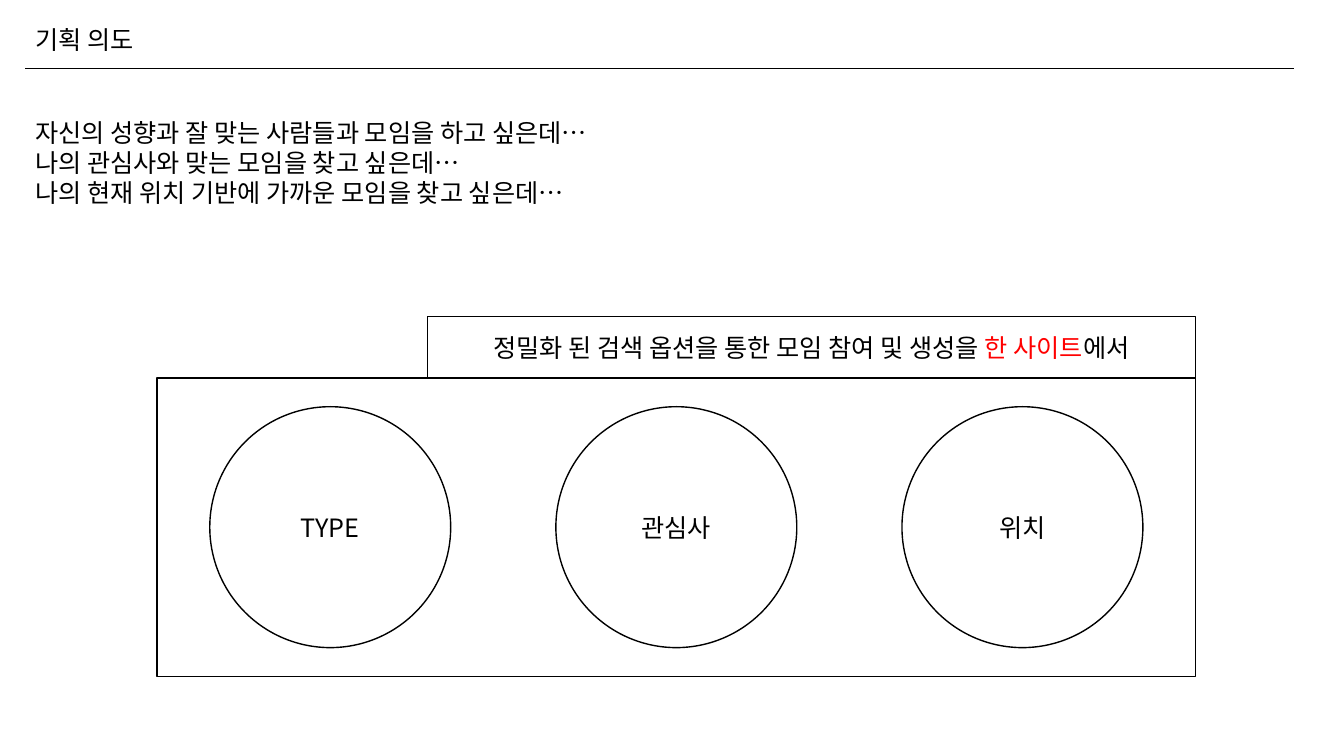
from pptx import Presentation
from pptx.dml.color import RGBColor
from pptx.enum.shapes import MSO_CONNECTOR as LINE, MSO_SHAPE as SHAPE
from pptx.enum.text import MSO_ANCHOR as ANCHOR, MSO_AUTO_SIZE as AUTO, PP_ALIGN as ALIGN
from pptx.oxml.ns import qn
from pptx.util import Pt

TITLE = "기획 의도"
WISHES = [
    "자신의 성향과 잘 맞는 사람들과 모임을 하고 싶은데…",
    "나의 관심사와 맞는 모임을 찾고 싶은데…",
    "나의 현재 위치 기반에 가까운 모임을 찾고 싶은데…",
]
OPTIONS = ["TYPE", "관심사", "위치"]

BLACK = RGBColor(0, 0, 0)
WHITE = RGBColor(255, 255, 255)
RED = RGBColor(255, 0, 0)
SUMMARY = [
    ("정밀화 된 검색 옵션을 통한 모임 참여 및 생성을 ", BLACK),
    ("한 사이트", RED),
    ("에서", BLACK),
]

FONT = "Noto Sans CJK KR"
SIZE, LEADING = 18, 21.6
MARGIN, WIDTH = 18, 906.5
RULE_Y = 49
PANEL_X, PANEL_Y, PANEL_W, PANEL_H = 112.3, 270, 741.6, 213.1
BANNER_W, BANNER_H = 548.6, 43.9
CIRCLE = 172.1


def write(s, paragraphs, align, anchor):
    """Fill a shape with paragraphs given as lists of (text, colour) runs."""
    tf = s.text_frame
    tf.word_wrap, tf.auto_size, tf.vertical_anchor = True, AUTO.NONE, anchor
    for i, runs in enumerate(paragraphs):
        p = tf.add_paragraph() if i else tf.paragraphs[0]
        p.alignment, p.line_spacing, p.space_before = align, Pt(LEADING), Pt(0)
        pPr = p._p.get_or_add_pPr()
        pPr.set("marL", "0")
        pPr.set("indent", "0")
        pPr.append(pPr.makeelement(qn("a:buNone"), {}))
        for text, colour in runs:
            r = p.add_run()
            r.text = text
            r.font.name, r.font.size = FONT, Pt(SIZE)
            r.font.color.rgb = colour
            rPr = r.font._element
            rPr.append(rPr.makeelement(qn("a:ea"), {"typeface": FONT}))


def place(s, x, y, w, h):
    """Move and size a shape in points."""
    s.left, s.top, s.width, s.height = Pt(x), Pt(y), Pt(w), Pt(h)


def outlined(kind, x, y, w, h, runs=()):
    """Add a white shape with a black outline and centred text."""
    s = slide.shapes.add_shape(kind, Pt(x), Pt(y), Pt(w), Pt(h))
    s.shadow.inherit = False
    s.fill.solid()
    s.fill.fore_color.rgb = WHITE
    s.line.color.rgb, s.line.width = BLACK, Pt(1)
    if runs:
        write(s, [runs], ALIGN.CENTER, ANCHOR.MIDDLE)


prs = Presentation()
prs.slide_width, prs.slide_height = Pt(960), Pt(540)
slide = prs.slides.add_slide(prs.slide_layouts[1])
title, body = slide.placeholders

place(title, MARGIN, 13.7, 93.6, 29)
write(title, [[(TITLE, BLACK)]], ALIGN.LEFT, ANCHOR.TOP)

rule = slide.shapes.add_connector(
    LINE.STRAIGHT, Pt(MARGIN), Pt(RULE_Y), Pt(MARGIN + WIDTH), Pt(RULE_Y))
rule.line.color.rgb, rule.line.width = BLACK, Pt(0.5)
spPr = rule._element.spPr
spPr.append(spPr.makeelement(qn("a:effectLst"), {}))

place(body, MARGIN, 79.9, WIDTH, 72.7)
write(body, [[(wish, BLACK)] for wish in WISHES], ALIGN.LEFT, ANCHOR.TOP)

outlined(SHAPE.RECTANGLE, PANEL_X, PANEL_Y, PANEL_W, PANEL_H)
column = PANEL_W / len(OPTIONS)
for i, option in enumerate(OPTIONS):
    x = PANEL_X + i * column + (column - CIRCLE) / 2
    y = PANEL_Y + (PANEL_H - CIRCLE) / 2
    outlined(SHAPE.FLOWCHART_CONNECTOR, x, y, CIRCLE, CIRCLE, [(option, BLACK)])

outlined(SHAPE.RECTANGLE, PANEL_X + PANEL_W - BANNER_W, PANEL_Y - BANNER_H,
         BANNER_W, BANNER_H, SUMMARY)

prs.save("out.pptx")
